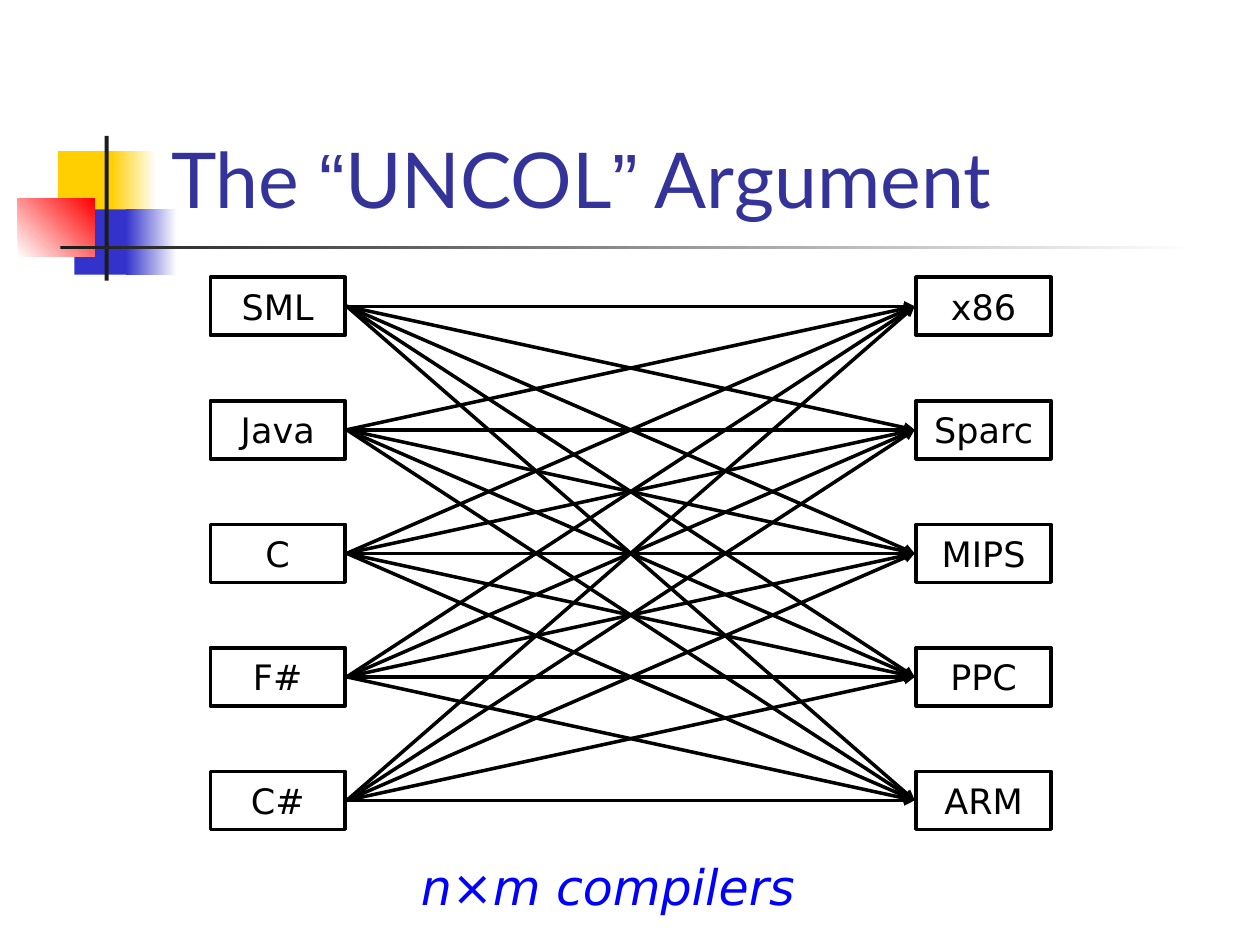
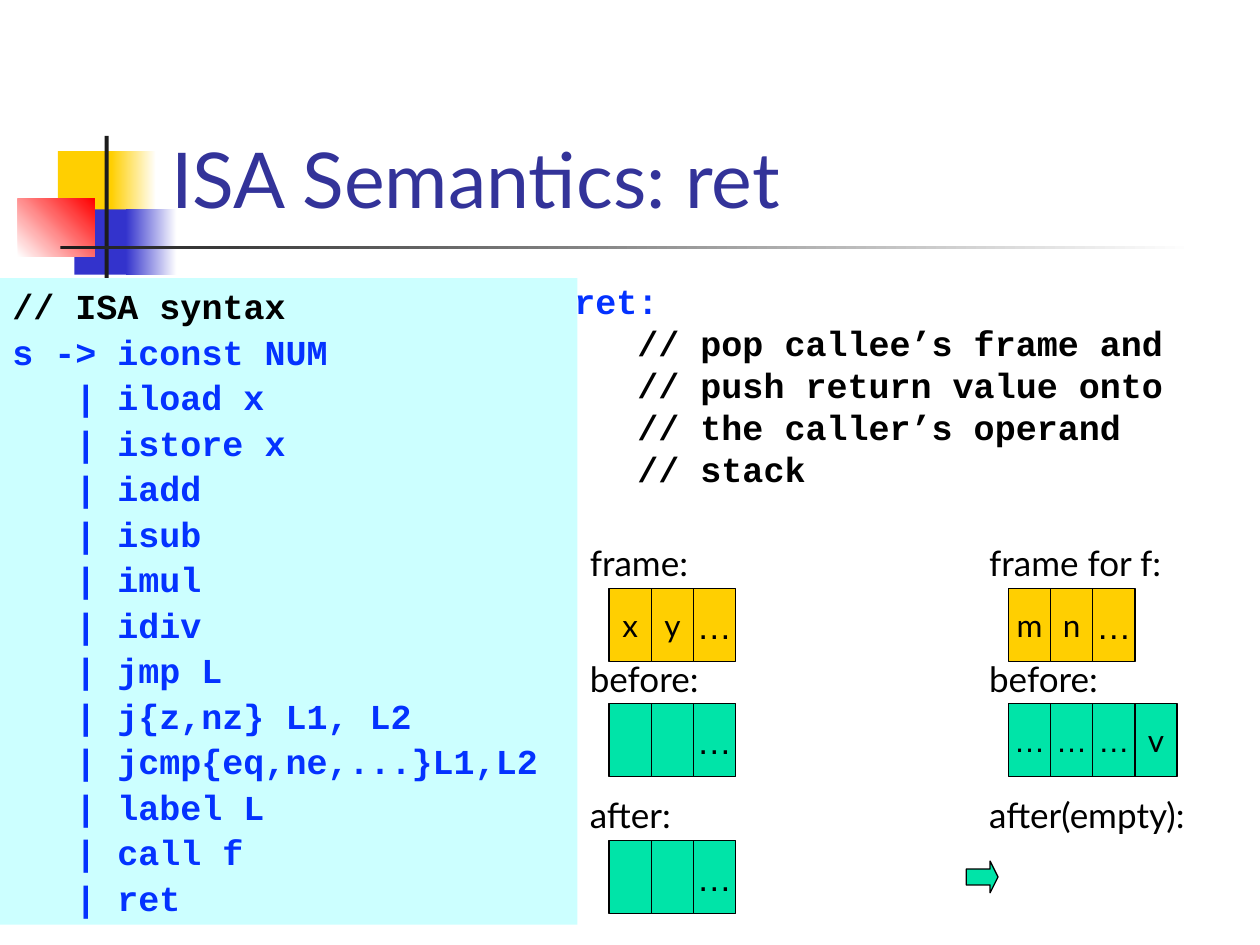
from lxml import etree
from pptx import Presentation
from pptx.dml.color import RGBColor
from pptx.enum.shapes import MSO_CONNECTOR, MSO_SHAPE
from pptx.enum.text import MSO_ANCHOR, PP_ALIGN
from pptx.oxml.ns import qn
from pptx.util import Cm, Pt

RECT, RIGHT_ARROW = MSO_SHAPE.RECTANGLE, MSO_SHAPE.RIGHT_ARROW
STRAIGHT = MSO_CONNECTOR.STRAIGHT
TOP, MIDDLE, BOTTOM = MSO_ANCHOR.TOP, MSO_ANCHOR.MIDDLE, MSO_ANCHOR.BOTTOM
LEFT, CENTER = PP_ALIGN.LEFT, PP_ALIGN.CENTER

COLORS = {
    "white": "FFFFFF", "black": "000000", "ink": "1C1C1C", "title": "333399",
    "yellow": "FFCF01", "blue": "3333CC", "red": "FF0000", "green": "00E4A8",
    "code": "0432FF", "panel": "CCFFFF", "formula": "0000FF",
}
HEAD, BODY, CODE, SYMBOL = "Lato", "DejaVu Sans", "Courier New", "Arial"

# Master motif in cm: left, top, width, height, fill (one colour or two), angle
MOTIF = [
    (1.17, 3.05, 1.22, 1.32, ["yellow"], 0),
    (2.24, 3.05, 0.91, 1.32, ["yellow", "white"], 0),
    (1.5, 4.22, 1.17, 1.32, ["blue"], 0),
    (2.54, 4.22, 1.02, 1.32, ["blue", "white"], 0),
    (0.36, 4.01, 1.55, 1.17, ["white", "red"], 45),
    (2.11, 2.74, 0.08, 2.92, ["ink"], 0),
    (1.22, 4.95, 22.86, 0.08, ["ink", "white"], 0),
]

SOURCES = ["SML", "Java", "C", "F#", "C#"]
TARGETS = ["x86", "Sparc", "MIPS", "PPC", "ARM"]

RET_COMMENT = ["// pop callee’s frame and", "// push return value onto",
               "// the caller’s operand", "// stack"]
INSTRUCTIONS = ["iload x", "istore x", "iadd", "isub", "imul", "idiv", "jmp L",
                "j{z,nz} L1, L2", "jcmp{eq,ne,...}L1,L2", "label L", "call f", "ret"]


def rgb(name):
    return RGBColor.from_string(COLORS[name])


def style(p, size, font, color="black", bold=False, italic=False, align=LEFT):
    p.alignment = align
    f = p.font
    f.size, f.name, f.bold, f.italic = Pt(size), font, bold, italic
    f.color.rgb = rgb(color)


def add_box(slide, x, y, w, h, fill=(), line=0, angle=0, kind=RECT):
    """Add a shape; two fill colours make a gradient, line 0 means no outline."""
    sp = slide.shapes.add_shape(kind, Cm(x), Cm(y), Cm(w), Cm(h))
    sp.shadow.inherit = False
    if len(fill) == 2:
        sp.fill.gradient()
        sp.fill.gradient_angle = angle
        for stop, name in zip(sp.fill.gradient_stops, fill):
            stop.color.rgb = rgb(name)
    elif fill:
        sp.fill.solid()
        sp.fill.fore_color.rgb = rgb(fill[0])
    else:
        sp.fill.background()
    if line:
        sp.line.width = Pt(line)
        sp.line.color.rgb = rgb("black")
    else:
        sp.line.fill.background()
    return sp


def center_text(sp, text, size, font):
    tf = sp.text_frame
    tf.word_wrap = False
    tf.vertical_anchor = MIDDLE
    tf.text = text
    style(tf.paragraphs[0], size, font, align=CENTER)


def add_text(slide, x, y, w, h, text="", size=20, font=HEAD, anchor=TOP, **look):
    tf = slide.shapes.add_textbox(Cm(x), Cm(y), Cm(w), Cm(h)).text_frame
    tf.word_wrap = True
    tf.vertical_anchor = anchor
    tf.text = text
    style(tf.paragraphs[0], size, font, **look)
    return tf


def add_arrow(slide, x1, y1, x2, y2):
    line = slide.shapes.add_connector(STRAIGHT, Cm(x1), Cm(y1), Cm(x2), Cm(y2))
    line.line.width = Pt(2)
    line.line.color.rgb = rgb("black")
    etree.SubElement(line.line._get_or_add_ln(), qn("a:tailEnd"), type="triangle")
    etree.SubElement(line._element.spPr, qn("a:effectLst"))


def add_base(prs, title_runs):
    """Add a slide with the motif and a title made of (text, font) runs."""
    slide = prs.slides.add_slide(prs.slide_layouts[6])
    for x, y, w, h, fill, angle in MOTIF:
        add_box(slide, x, y, w, h, fill, angle=angle)
    tf = add_text(slide, 3.2, 0.58, 21.64, 4.06, size=44, anchor=BOTTOM, color="title")
    for text, font in title_runs:
        r = tf.paragraphs[0].add_run()
        r.text, r.font.name = text, font
    return slide


def add_compiler_graph(slide, x, y, w, box_w=2.72, box_h=1.17, pitch=2.49, gap=0.03):
    """Join every source language on the left to every target on the right."""
    for col_x, names in ((x, SOURCES), (x + w - box_w, TARGETS)):
        for i, name in enumerate(names):
            sp = add_box(slide, col_x, y + i * pitch, box_w, box_h, line=2)
            center_text(sp, name, 20, BODY)
    mid = y + box_h / 2
    for i in range(len(SOURCES)):
        for j in range(len(TARGETS)):
            add_arrow(slide, x + box_w + gap, mid + i * pitch,
                      x + w - box_w - gap, mid + j * pitch)


def fill_code(tf, lines, space=0):
    """Write (text, colour, indent in cm) lines of code."""
    tf.word_wrap = True
    tf.vertical_anchor = TOP
    for i, (text, color, indent) in enumerate(lines):
        p = tf.add_paragraph() if i else tf.paragraphs[0]
        p.text = text
        style(p, 20, CODE, color, bold=True)
        p.line_spacing, p.space_before = Pt(24), Pt(space)
        p._p.get_or_add_pPr().set("marL", str(Cm(indent)))


def add_syntax_panel(slide, x, y, w, h):
    sp = add_box(slide, x, y, w, h, ["panel"])
    lines = [("// ISA syntax", "black", 0), ("s -> iconst NUM", "code", 0)]
    lines += [("| " + name, "code", 1.27) for name in INSTRUCTIONS]
    fill_code(sp.text_frame, lines, space=2)


def add_stack(slide, x, y, label, cells=(), fill="green", dots=20):
    """Add a label with a row of cells below it."""
    add_text(slide, x, y, 5.08, 1.09, label)
    for i, text in enumerate(cells):
        sp = add_box(slide, x + 0.64 + i * 0.85, y + 1.06, 0.85, 1.48, [fill], 0.75)
        if text == "…":
            center_text(sp, text, dots, SYMBOL)
        elif text:
            center_text(sp, text, 18, HEAD)


def add_frames(slide, x, y, column_gap=8.05, before=2.32, after=5.08):
    """Show the caller's stacks on the left and the callee's on the right."""
    callee_x = x + column_gap
    add_stack(slide, x, y, "frame:", ["x", "y", "…"], "yellow")
    add_stack(slide, x, y + before, "before:", ["", "", "…"])
    add_stack(slide, x, y + after, "after:", ["", "", "…"])
    add_stack(slide, callee_x, y, "frame for f:", ["m", "n", "…"], "yellow")
    add_stack(slide, callee_x, y + before, "before:", ["…", "…", "…", "v"], dots=18)
    add_stack(slide, callee_x, y + after, "after(empty):")
    arrow = add_box(slide, callee_x - 0.21, y + 6.56, 0.64, 0.64, ["green"], 0.75,
                    kind=RIGHT_ARROW)
    arrow.adjustments[0], arrow.adjustments[1] = 0.5, 0.25


def build_uncol(prs):
    slide = add_base(prs, [("The ", HEAD), ("“", SYMBOL), ("UNCOL", HEAD),
                           ("”", SYMBOL), (" Argument", HEAD)])
    add_compiler_graph(slide, 4.24, 5.59, 16.95)
    tf = add_text(slide, 8.15, 17.15, 8.2, 1.45, "n×m compilers", 28, BODY,
                  color="formula", italic=True, align=CENTER)
    tf.word_wrap = False


def build_ret(prs):
    slide = add_base(prs, [("ISA Semantics: ret", HEAD)])
    tf = add_text(slide, 11.33, 5.51, 13.44, 7.42)
    fill_code(tf, [("ret:", "code", 0)] + [(c, "black", 1.27) for c in RET_COMMENT])
    add_frames(slide, 11.64, 10.8)
    add_syntax_panel(slide, 0, 5.61, 11.64, 13.03)


def main():
    prs = Presentation()
    prs.slide_width, prs.slide_height = Cm(25.4), Cm(19.05)
    build_uncol(prs)
    build_ret(prs)
    prs.save("out.pptx")


if __name__ == "__main__":
    main()
